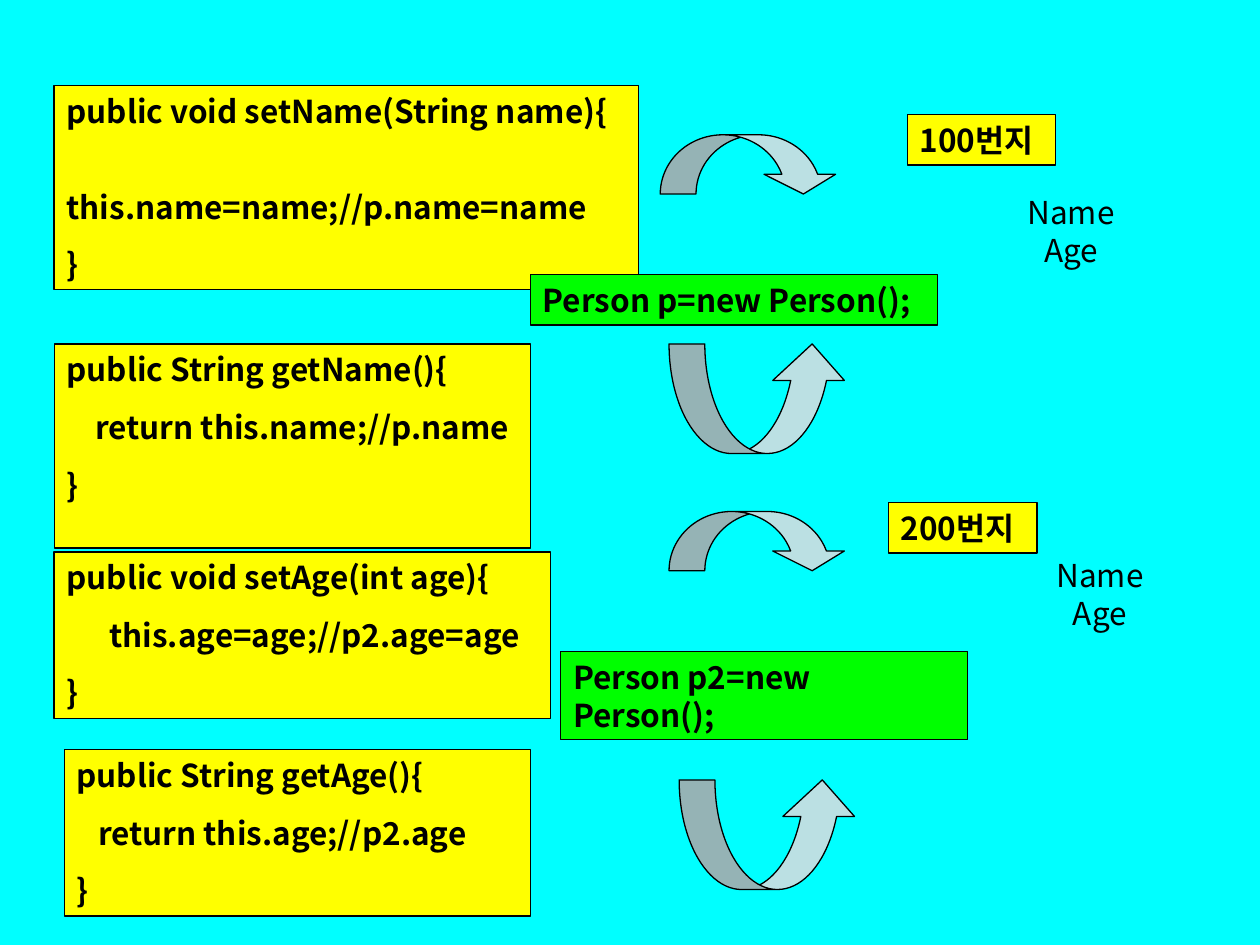
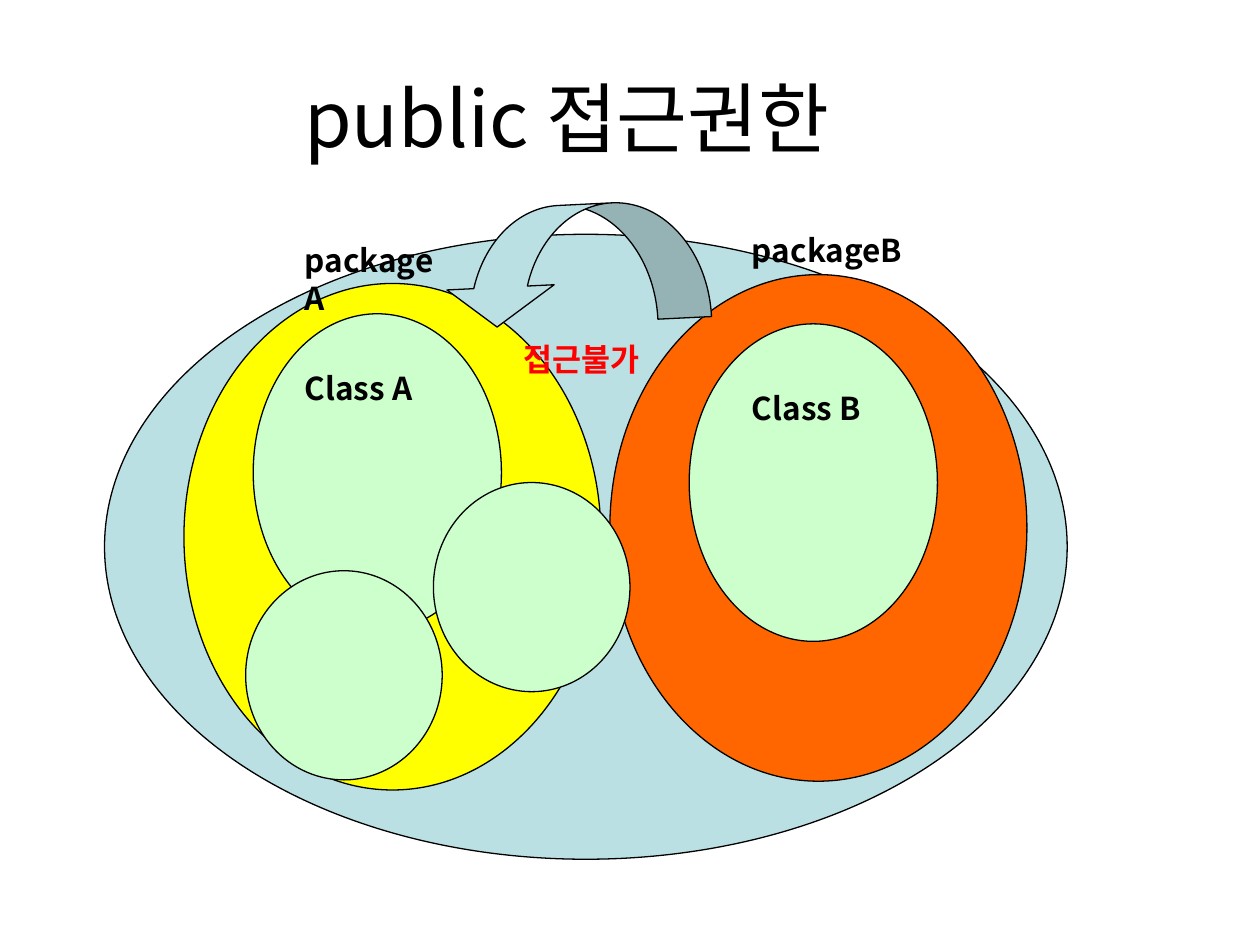
import pptx
import pptx.util
import pptx.dml.color
import pptx.enum.shapes
import pptx.enum.text
import pptx.oxml
import pptx.oxml.ns

Inches, Pt = pptx.util.Inches, pptx.util.Pt
RGBColor = pptx.dml.color.RGBColor
SHAPE = pptx.enum.shapes.MSO_SHAPE
ANCHOR = pptx.enum.text.MSO_ANCHOR
ALIGN = pptx.enum.text.PP_ALIGN

CYAN = RGBColor(0x00, 0xFF, 0xFF)
WHITE = RGBColor(0xFF, 0xFF, 0xFF)
BLACK = RGBColor(0x00, 0x00, 0x00)
RED = RGBColor(0xFF, 0x00, 0x00)
YELLOW = RGBColor(0xFF, 0xFF, 0x00)
GREEN = RGBColor(0x00, 0xFF, 0x00)
ORANGE = RGBColor(0xFF, 0x66, 0x00)
PALE_BLUE = RGBColor(0xBB, 0xE0, 0xE3)
PALE_GREEN = RGBColor(0xCC, 0xFF, 0xCC)

FONT = "Noto Sans CJK KR"
LINE_HEIGHT = Pt(21.7)
PARAGRAPH_GAP = Pt(11.2)

# Text formats
BOLD = {"size": Pt(18), "bold": True}
PLAIN = {"size": Pt(18), "bold": False}
TITLE = {"size": Pt(44), "bold": False}
CODE_LINES = {"alignment": ALIGN.LEFT, "line_spacing": LINE_HEIGHT}
CENTRED_LINES = {"alignment": ALIGN.CENTER, "line_spacing": LINE_HEIGHT}
TITLE_LINE = {"alignment": ALIGN.CENTER}


def apply_format(target, values):
    for name, value in values.items():
        setattr(target, name, value)


def add_slide(deck, background):
    slide = deck.slides.add_slide(deck.slide_layouts[6])
    slide.background.fill.solid()
    slide.background.fill.fore_color.rgb = background
    return slide


def write_text(holder, text, font=BOLD, lines=CODE_LINES, color=BLACK,
               anchor=ANCHOR.TOP, gap=PARAGRAPH_GAP):
    frame = holder.text_frame
    apply_format(frame, {"word_wrap": True, "vertical_anchor": anchor})
    for number, line in enumerate(text.split("\n")):
        paragraph = frame.add_paragraph() if number else frame.paragraphs[0]
        apply_format(paragraph, lines)
        if number:
            paragraph.space_before = gap
        run = paragraph.add_run()
        run.text = line
        apply_format(run.font, {"name": FONT, **font})
        run.font.color.rgb = color
        # Hangul takes its font from the East Asian slot
        east_asian = pptx.oxml.parse_xml(
            f'<a:ea {pptx.oxml.ns.nsdecls("a")} typeface="{FONT}"/>')
        run.font._element.find(pptx.oxml.ns.qn("a:latin")).addnext(east_asian)


def add_label(slide, place, text, **style):
    write_text(slide.shapes.add_textbox(*map(Inches, place)), text, **style)


def add_outlined(slide, kind, place, fill):
    shape = slide.shapes.add_shape(kind, *map(Inches, place))
    shape.shadow.inherit = False
    shape.fill.solid()
    shape.fill.fore_color.rgb = fill
    shape.line.color.rgb = BLACK
    shape.line.width = Pt(0.75)
    return shape


def add_code_box(slide, place, fill, text):
    write_text(add_outlined(slide, SHAPE.RECTANGLE, place, fill), text)


def add_curved_arrow(slide, kind, place, rotation=0):
    """Band is a fifth of the long side, the head twice as wide."""
    arrow = add_outlined(slide, kind, place, PALE_BLUE)
    long_side, short_side = max(place[2:]), min(place[2:])
    band = 0.2 * long_side / short_side
    for number, value in enumerate((band, 2 * band, 1 / 3)):
        arrow.adjustments[number] = value
    arrow.rotation = rotation


def add_address(slide, left, top, text):
    add_code_box(slide, (left, top, 1.18, 0.4), YELLOW, text)


def add_fields(slide, left, top):
    add_label(slide, (left, top, 1, 0.67), "Name\nAge", font=PLAIN,
              lines=CENTRED_LINES, anchor=ANCHOR.MIDDLE, gap=Pt(0))


def build_accessors(deck):
    slide = add_slide(deck, CYAN)

    # Methods and object creation
    for place, fill, code in (
        ((0.43, 2.73, 3.78, 1.62), YELLOW,
         "public String getName(){\n    return this.name;//p.name\n}"),
        ((0.43, 0.68, 4.64, 1.62), YELLOW,
         "public void setName(String name){\n"
         "      this.name=name;//p.name=name\n}"),
        ((4.21, 2.18, 3.23, 0.4), GREEN, "Person p=new Person();"),
        ((0.51, 5.95, 3.7, 1.32), YELLOW,
         "public String getAge(){\n   return this.age;//p2.age\n}"),
        ((0.43, 4.38, 3.94, 1.32), YELLOW,
         "public void setAge(int age){\n      this.age=age;//p2.age=age\n}"),
        ((4.45, 5.17, 3.23, 0.7), GREEN, "Person p2=new Person();"),
    ):
        add_code_box(slide, place, fill, code)

    # Arrows: setters curve down, getters curve up
    for left, top in ((5.24, 1.07), (5.31, 4.06)):
        add_curved_arrow(slide, SHAPE.CURVED_DOWN_ARROW, (left, top, 1.42, 0.47))
    for left, top in ((5.31, 2.73), (5.39, 6.19)):
        add_curved_arrow(slide, SHAPE.CURVED_UP_ARROW, (left, top, 1.42, 0.87))

    # Objects in memory
    add_fields(slide, 8, 1.5)
    add_fields(slide, 8.23, 4.38)
    add_address(slide, 7.2, 0.91, "100번지")
    add_address(slide, 7.05, 3.99, "200번지")


def build_public_access(deck):
    slide = add_slide(deck, WHITE)
    add_label(slide, (0, 0.3, 9, 1.25), "public 접근권한", font=TITLE,
              lines=TITLE_LINE, anchor=ANCHOR.MIDDLE)

    # Project, packages and class A
    for place, fill in (
        ((0.83, 1.86, 7.64, 4.96), PALE_BLUE),
        ((1.46, 2.25, 3.31, 4.02), YELLOW),
        ((4.84, 2.18, 3.31, 4.02), ORANGE),
        ((2.01, 2.49, 1.97, 2.52), PALE_GREEN),
    ):
        add_outlined(slide, SHAPE.OVAL, place, fill)
    add_label(slide, (2.32, 2.88, 1.42, 0.4), "Class A")
    add_label(slide, (2.32, 1.86, 1.34, 0.7), "packageA")
    add_label(slide, (5.87, 1.78, 1.5, 0.4), "packageB")

    # Access from package B to package A
    add_label(slide, (4.06, 2.65, 1.34, 0.4), "접근불가", color=RED)
    add_curved_arrow(slide, SHAPE.CURVED_RIGHT_ARROW,
                     (4.09, 1.03, 0.94, 2.13), rotation=87.2)

    # Class B and the unnamed classes
    add_outlined(slide, SHAPE.OVAL, (5.47, 2.57, 1.97, 2.52), PALE_GREEN)
    add_label(slide, (5.87, 3.04, 1.34, 0.4), "Class B")
    for left, top in ((1.95, 4.53), (3.44, 3.83)):
        add_outlined(slide, SHAPE.OVAL, (left, top, 1.56, 1.66), PALE_GREEN)


def main():
    deck = pptx.Presentation()
    deck.slide_width, deck.slide_height = Inches(10), Inches(7.5)
    build_accessors(deck)
    build_public_access(deck)
    deck.save("out.pptx")


if __name__ == "__main__":
    main()
